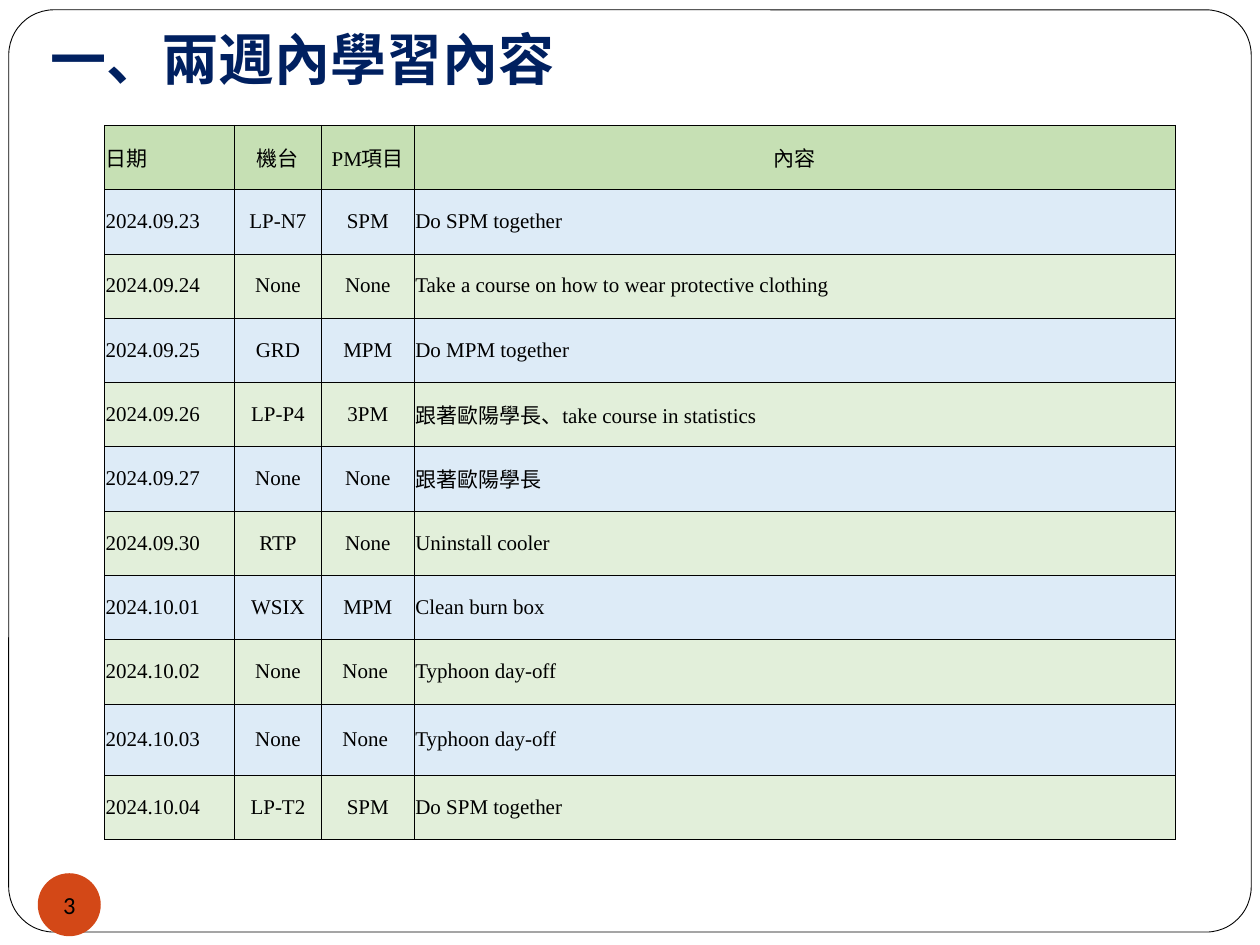
import pptx
import pptx.util
import pptx.dml.color
import pptx.enum.shapes
import pptx.enum.text
import pptx.oxml
import pptx.oxml.ns
from dataclasses import dataclass

Pt = pptx.util.Pt
ALIGN = pptx.enum.text.PP_ALIGN
ANCHOR = pptx.enum.text.MSO_ANCHOR
SHAPE = pptx.enum.shapes.MSO_SHAPE


@dataclass(frozen=True)
class Theme:
    white: str = "FFFFFF"
    ink: str = "000000"
    navy: str = "002060"
    orange: str = "D34817"
    header: str = "C6E0B4"
    bands: tuple = ("DDEBF7", "E2EFDA")
    cjk: str = "Noto Sans CJK SC"
    serif: str = "Times New Roman"
    sans: str = "Calibri"
    title_size: float = 32
    cell_size: float = 12
    number_size: float = 14
    frame_line: float = 0.5
    grid_line: float = 0.23


def rgb(value):
    return pptx.dml.color.RGBColor.from_string(value)


class SlideBuilder:
    def __init__(self, prs, theme):
        self.theme = theme
        self.s = prs.slides.add_slide(prs.slide_layouts[5])

    def set_text(self, tf, text, font, size, color, align=ALIGN.LEFT, bold=False):
        p = tf.paragraphs[0]
        p.text = text
        p.alignment = align
        p.font.name = font
        p.font.size = Pt(size)
        p.font.bold = bold
        p.font.color.rgb = rgb(color)
        latin = p.font._element.find(pptx.oxml.ns.qn("a:latin"))
        latin.addnext(pptx.oxml.parse_xml(
            f'<a:ea {pptx.oxml.ns.nsdecls("a")} typeface="{self.theme.cjk}"/>'))

    def margins(self, box, left, top, right, bottom):
        box.margin_left, box.margin_top = Pt(left), Pt(top)
        box.margin_right, box.margin_bottom = Pt(right), Pt(bottom)

    def shape(self, kind, x, y, w, h, fill):
        sp = self.s.shapes.add_shape(kind, Pt(x), Pt(y), Pt(w), Pt(h))
        sp.shadow.inherit = False
        sp.fill.solid()
        sp.fill.fore_color.rgb = rgb(fill)
        sp.line.fill.background()
        return sp

    def frame(self, x, y, w, h):
        sp = self.shape(SHAPE.ROUNDED_RECTANGLE, x, y, w, h, self.theme.white)
        sp.adjustments[0] = 0.049
        sp.line.color.rgb = rgb(self.theme.ink)
        sp.line.width = Pt(self.theme.frame_line)
        self.s.shapes.title._element.addprevious(sp._element)

    def title(self, text, x, y, w, h):
        sp = self.s.shapes.title
        sp.left, sp.top, sp.width, sp.height = Pt(x), Pt(y), Pt(w), Pt(h)
        tf = sp.text_frame
        tf.auto_size = pptx.enum.text.MSO_AUTO_SIZE.NONE
        tf.vertical_anchor = ANCHOR.BOTTOM
        self.margins(tf, 7.2, 3.6, 7.2, 7.2)
        self.set_text(tf, text, self.theme.cjk, self.theme.title_size,
                      self.theme.navy, bold=True)

    def borders(self, cell):
        tcPr = cell._tc.get_or_add_tcPr()
        for side in ("lnL", "lnR", "lnT", "lnB"):
            tcPr.append(pptx.oxml.parse_xml(
                f'<a:{side} {pptx.oxml.ns.nsdecls("a")} w="{Pt(self.theme.grid_line)}">'
                f'<a:solidFill><a:srgbClr val="{self.theme.ink}"/></a:solidFill></a:{side}>'))

    def cell(self, cell, text, fill, align):
        self.borders(cell)
        cell.fill.solid()
        cell.fill.fore_color.rgb = rgb(fill)
        cell.vertical_anchor = ANCHOR.MIDDLE
        self.margins(cell, 0.7, 3.6, 0.7, 3.6)
        self.set_text(cell.text_frame, text, self.theme.serif, self.theme.cell_size,
                      self.theme.ink, align)

    def table(self, rows, x, y, widths, heights):
        table = self.s.shapes.add_table(len(rows), len(widths), Pt(x), Pt(y),
                                        Pt(sum(widths)), Pt(sum(heights))).table
        for column, width in zip(table.columns, widths):
            column.width = Pt(width)
        for i, (row, height) in enumerate(zip(rows, heights)):
            table.rows[i].height = Pt(height)
            fill = self.theme.bands[(i - 1) % 2] if i else self.theme.header
            for j, text in enumerate(row):
                centred = j in (1, 2) or (i == 0 and j == 3)
                self.cell(table.cell(i, j), text, fill,
                          ALIGN.CENTER if centred else ALIGN.LEFT)

    def page_number(self, text, x, y, size):
        sp = self.shape(SHAPE.OVAL, x, y, size, size, self.theme.orange)
        tf = sp.text_frame
        tf.word_wrap = False
        tf.vertical_anchor = ANCHOR.MIDDLE
        self.margins(tf, 0, 0, 0, 0)
        self.set_text(tf, text, self.theme.sans, self.theme.number_size,
                      self.theme.ink, ALIGN.CENTER)


SCHEDULE = [
    ("日期", "機台", "PM項目", "內容"),
    ("2024.09.23", "LP-N7", "SPM", "Do SPM together"),
    ("2024.09.24", "None", "None", "Take a course on how to wear protective clothing"),
    ("2024.09.25", "GRD", "MPM", "Do MPM together"),
    ("2024.09.26", "LP-P4", "3PM", "跟著歐陽學長、take course in statistics"),
    ("2024.09.27", "None", "None", "跟著歐陽學長"),
    ("2024.09.30", "RTP", "None", "Uninstall cooler"),
    ("2024.10.01", "WSIX", "MPM", "Clean burn box"),
    ("2024.10.02", "None", "None ", "Typhoon day-off"),
    ("2024.10.03", "None", "None ", "Typhoon day-off"),
    ("2024.10.04", "LP-T2", "SPM", "Do SPM together"),
]


def main():
    prs = pptx.Presentation()
    prs.slide_width, prs.slide_height = Pt(720), Pt(540)
    slide = SlideBuilder(prs, Theme())
    slide.frame(5, 5.6, 710, 527)
    slide.title("一、兩週內學習內容", 21.6, 2.2, 612, 57.6)
    heights = [36.75] * len(SCHEDULE)
    heights[9] = 40.75
    slide.table(SCHEDULE, 59.7, 71.5, [74.3, 49.7, 53, 435], heights)
    slide.page_number("3", 21.6, 499, 36)
    prs.save("out.pptx")


if __name__ == "__main__":
    main()
